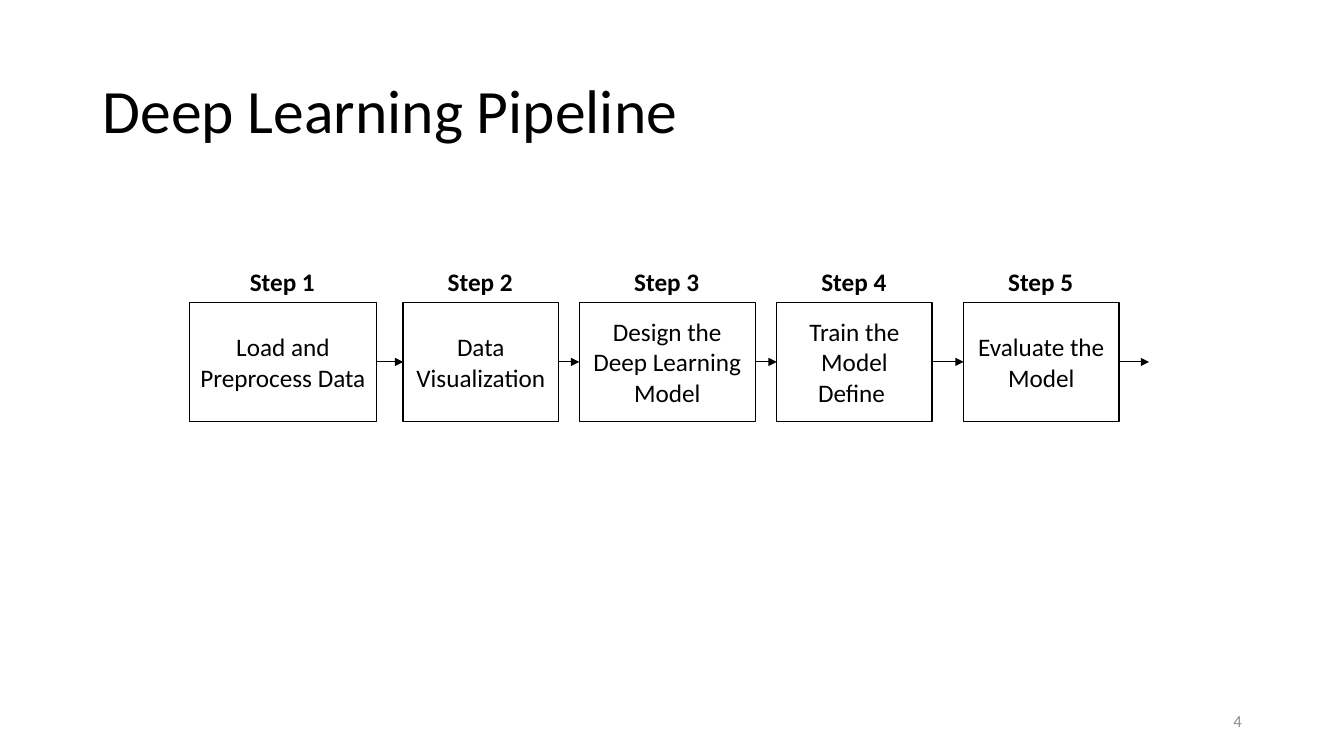
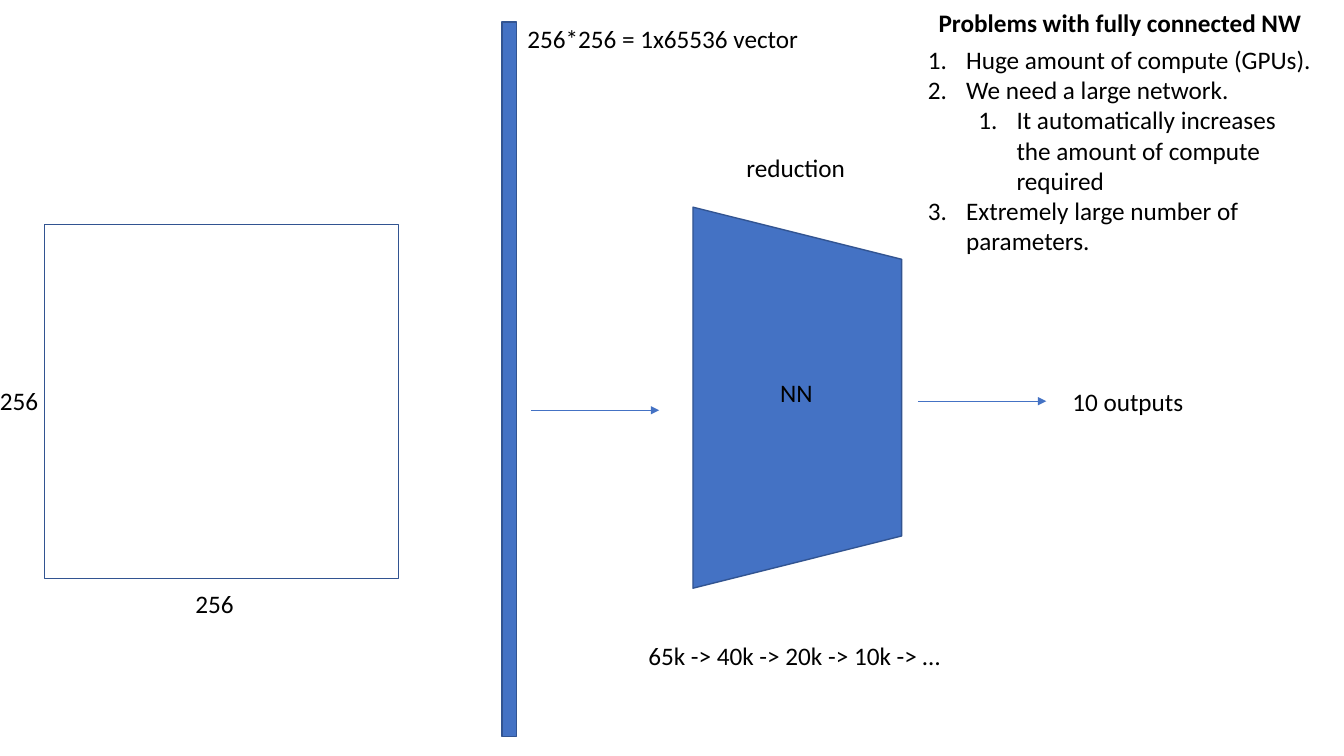
from lxml.etree import SubElement
from pptx import Presentation
from pptx.dml.color import RGBColor
from pptx.enum.shapes import MSO_CONNECTOR, MSO_SHAPE
from pptx.enum.text import MSO_ANCHOR, MSO_AUTO_SIZE, PP_ALIGN
from pptx.oxml.ns import qn
from pptx.util import Inches, Pt

WIDE, HIGH = Inches(13.333), Inches(7.5)
FONT = "Calibri"
HUE = {"ink": "000000", "paper": "FFFFFF", "blue": "4472C4",
       "edge": "325491", "gray": "8C8C8C"}
ROW = 5.33  # height of one line of text

# left, width, lines of text
STEPS = [
    (14.1, 13.9, ["Load and Preprocess Data"]),
    (30, 11.55, ["Data Visualization"]),
    (43.1, 13.1, ["Design the Deep Learning Model"]),
    (57.8, 11.55, ["Train the Model", "Define "]),
    (71.7, 11.55, ["Evaluate the Model"]),
]
# left, top, width, text
LABELS = [
    (13.8, 77.2, 4.4, "256"),
    (-0.75, 50.27, 4.4, "256"),
    (38.5, 2.4, 21.9, "256*256 = 1x65536 vector"),
    (57.3, 49.3, 4, "NN"),
    (79.05, 50.4, 9.9, "10 outputs"),
    (54.8, 19.5, 8.9, "reduction"),
    (47.5, 84.1, 23.6, "65k -> 40k -> 20k -> 10k -> …"),
]
# level, text
ISSUES = [
    (0, "Huge amount of compute (GPUs)."),
    (0, "We need a large network."),
    (1, "It automatically increases the amount of compute required"),
    (0, "Extremely large number of parameters."),
]


def rgb(hue):
    return RGBColor.from_string(HUE[hue])


def area(x, y, w, h):
    """Turn percentages of the slide into lengths."""
    return [round(part * side / 100)
            for part, side in zip((x, y, w, h), (WIDE, HIGH) * 2)]


def style(para, size=18, hue="ink", bold=False, align=None):
    font = para.font
    font.name, font.size, font.bold = FONT, Pt(size), bold
    font.color.rgb = rgb(hue)
    para.alignment = align


def write(frame, lines, **look):
    frame.text = "\n".join(lines)
    for para in frame.paragraphs:
        style(para, **look)


def head(slide, text):
    title = slide.shapes.title
    title.left, title.top, title.width, title.height = area(6.88, 5.33, 86.25, 19.33)
    frame = title.text_frame
    frame.vertical_anchor = MSO_ANCHOR.MIDDLE
    write(frame, [text], size=44, align=PP_ALIGN.LEFT)
    frame.paragraphs[0].line_spacing = 0.9


def label(slide, x, y, w, text, **look):
    frame = slide.shapes.add_textbox(*area(x, y, w, ROW)).text_frame
    frame.word_wrap = False
    frame.auto_size = MSO_AUTO_SIZE.SHAPE_TO_FIT_TEXT
    write(frame, [text], **look)


def block(slide, spot, fill=None, edge="edge", kind=MSO_SHAPE.RECTANGLE):
    shape = slide.shapes.add_shape(kind, *area(*spot))
    shape.shadow.inherit = False
    if fill:
        shape.fill.solid()
        shape.fill.fore_color.rgb = rgb(fill)
    else:
        shape.fill.background()
    shape.line.color.rgb = rgb(edge)
    shape.line.width = Pt(1)
    return shape


def arrow(slide, x, end, y, hue, width):
    left, top, right, _ = area(x, y, end, 0)
    link = slide.shapes.add_connector(MSO_CONNECTOR.STRAIGHT, left, top, right, top)
    link.line.color.rgb = rgb(hue)
    link.line.width = Pt(width)
    props = link.element.spPr
    SubElement(props.find(qn("a:ln")), qn("a:tailEnd"), type="triangle")
    SubElement(props, qn("a:effectLst"))
    return link


def number(slide, text):
    frame = slide.shapes.add_textbox(*area(70.65, 92.67, 22.5, ROW)).text_frame
    frame.word_wrap = True
    frame.vertical_anchor = MSO_ANCHOR.MIDDLE
    write(frame, [text], size=12, hue="gray", align=PP_ALIGN.RIGHT)


def listing(slide, spot, items):
    """Add a numbered list with levels."""
    frame = slide.shapes.add_textbox(*area(*spot)).text_frame
    frame.word_wrap = True
    frame.auto_size = MSO_AUTO_SIZE.SHAPE_TO_FIT_TEXT
    frame.text = "\n".join(text for _, text in items)
    for para, (level, _) in zip(frame.paragraphs, items):
        para.level = level
        props = para._p.get_or_add_pPr()
        props.set("marL", str(Inches(0.38 + level * 0.5)))
        props.set("indent", str(Inches(-0.38)))
        SubElement(props, qn("a:buFont"), typeface=FONT)
        SubElement(props, qn("a:buAutoNum"), type="arabicPeriod")
        style(para)


def steps(slide):
    top, high, tag = 40, 15.75, 6.4
    boxes = []
    for count, (x, w, lines) in enumerate(STEPS, 1):
        box = block(slide, (x, top, w, high), edge="ink")
        box.text_frame.vertical_anchor = MSO_ANCHOR.MIDDLE
        write(box.text_frame, lines, align=PP_ALIGN.CENTER)
        boxes.append(box)
        label(slide, x + (w - tag) / 2, 34.55, tag, f"Step {count}", bold=True)
    ends = [x for x, _, _ in STEPS[1:]] + [85.5]
    for at, ((x, w, _), end) in enumerate(zip(STEPS, ends)):
        link = arrow(slide, x + w, end, top + high / 2, "ink", 0.75)
        link.begin_connect(boxes[at], 3)
        if at + 1 < len(boxes):
            link.end_connect(boxes[at + 1], 1)


def network(slide):
    block(slide, (3.3, 29.73, 26.33, 46.8), "paper")
    block(slide, (37.35, 2.93, 1.1, 94.5), "blue")
    funnel = block(slide, (45.15, 38.8, 28.35, 27.6), "blue", kind=MSO_SHAPE.TRAPEZOID)
    funnel.rotation = 90
    for x, y in ((39.5, 54.27), (68.3, 53.07)):
        arrow(slide, x, x + 9.55, y, "blue", 0.5)
    for item in LABELS:
        label(slide, *item)


def main():
    deck = Presentation()
    deck.slide_width, deck.slide_height = WIDE, HIGH
    named, blank = deck.slide_layouts[5], deck.slide_layouts[6]

    slide = deck.slides.add_slide(named)
    head(slide, "Deep Learning Pipeline")
    steps(slide)
    number(slide, "4")

    slide = deck.slides.add_slide(blank)
    network(slide)
    label(slide, 69.1, 0.3, 28.7, "Problems with fully connected NW", bold=True)
    listing(slide, (68.3, 5.2, 30.3, 29.6), ISSUES)

    deck.save("out.pptx")


if __name__ == "__main__":
    main()
